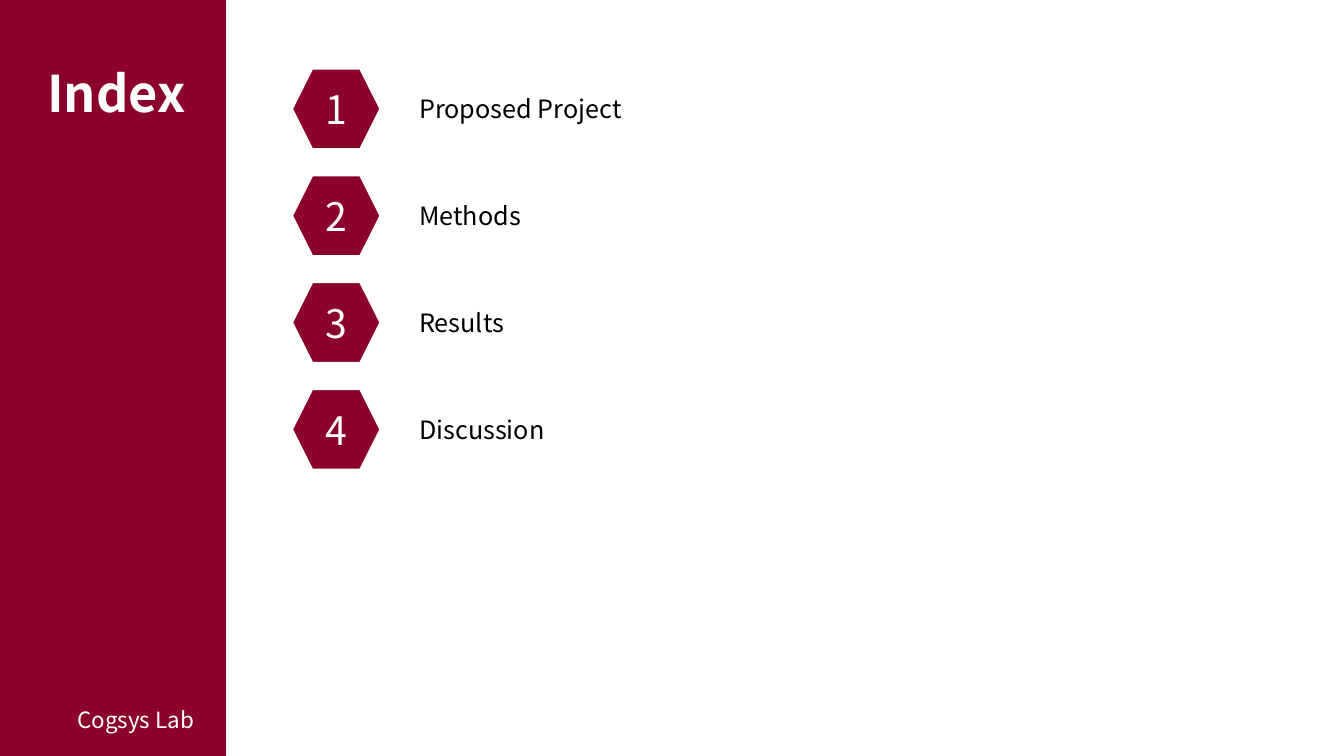
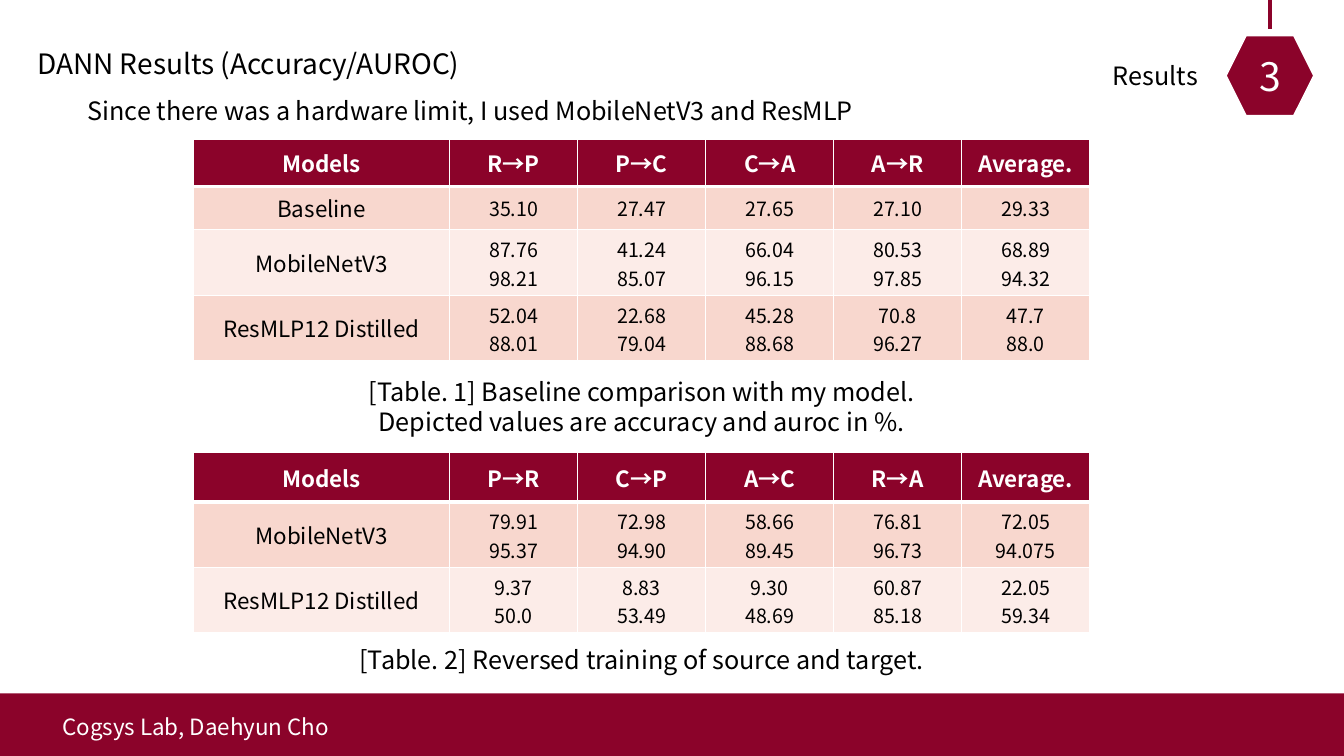
from lxml.etree import SubElement
from pptx import Presentation
from pptx.dml.color import RGBColor
from pptx.enum.shapes import MSO_CONNECTOR, MSO_SHAPE
from pptx.enum.text import MSO_ANCHOR as Anchor, PP_ALIGN as Align
from pptx.oxml.ns import qn
from pptx.util import Inches, Pt


class Theme:
    font = "Noto Sans CJK KR"
    crimson = RGBColor.from_string("8B032A")
    white = RGBColor.from_string("FFFFFF")
    black = RGBColor.from_string("000000")
    bands = (RGBColor.from_string("FCECE8"), RGBColor.from_string("F8D7CE"))
    title = {"size": Pt(36), "color": white, "bold": True}
    badge = {"size": Pt(28), "color": white}
    heading = {"size": Pt(20), "color": black}
    body = {"size": Pt(18), "color": black}
    footer = {"size": Pt(16), "color": white}
    table_head = {"size": Pt(16), "color": white, "bold": True}
    table_label = {"size": Pt(16), "color": black, "bold": False}
    table_value = {"size": Pt(14), "color": black}


SLIDE_W, SLIDE_H = 13.33, 7.5
BADGE_W, BADGE_H = 1.01, 0.92
LABEL_H = 0.4
TABLE_LEFT, TABLE_W = 1.92, 8.89
COLUMN_WIDTHS = [2.54] + [1.27] * 5

CHAPTERS = ["Proposed Project", "Methods", "Results", "Discussion"]
CURRENT_CHAPTER = 3

TABLES = [
    {
        "top": 1.38,
        "heights": [0.47, 0.43, 0.65, 0.65],
        "rows": [
            ["Models", "R→P", "P→C", "C→A", "A→R", "Average."],
            ["Baseline", "35.10", "27.47", "27.65", "27.10", "29.33"],
            ["MobileNetV3", "87.76\n98.21", "41.24\n85.07", "66.04\n96.15",
             "80.53\n97.85", "68.89\n94.32"],
            ["ResMLP12 Distilled", "52.04\n88.01", "22.68\n79.04", "45.28\n88.68",
             "70.8\n96.27", "47.7\n88.0"],
        ],
        "caption": "[Table. 1] Baseline comparison with my model.\n"
                   "Depicted values are accuracy and auroc in %.",
        "caption_top": 3.68,
        "caption_height": 0.71,
    },
    {
        "top": 4.49,
        "heights": [0.49, 0.65, 0.65],
        "rows": [
            ["Models", "P→R", "C→P", "A→C", "R→A", "Average."],
            ["MobileNetV3", "79.91\n95.37", "72.98\n94.90", "58.66\n89.45",
             "76.81\n96.73", "72.05\n94.075"],
            ["ResMLP12 Distilled", "9.37\n50.0", "8.83\n53.49", "9.30\n48.69",
             "60.87\n85.18", "22.05\n59.34"],
        ],
        "caption": "[Table. 2] Reversed training of source and target.",
        "caption_top": 6.34,
        "caption_height": 0.4,
    },
]


def write(para, text, style, **layout):
    """Fill a paragraph; a newline in the text becomes a line break."""
    para.text = text
    for name, value in layout.items():
        setattr(para, name, value)
    for span in para.runs:
        span.font.name = Theme.font
        for name, value in style.items():
            if name == "color":
                span.font.color.rgb = value
            else:
                setattr(span.font, name, value)
        SubElement(span.font._element, qn("a:ea"), typeface=Theme.font)


def add_text(page, place, text, style, anchor=Anchor.TOP, **layout):
    box = page.shapes.add_textbox(*map(Inches, place))
    box.text_frame.word_wrap = True
    box.text_frame.vertical_anchor = anchor
    write(box.text_frame.paragraphs[0], text, style, **layout)
    return box


def add_filled(page, kind, place):
    shape = page.shapes.add_shape(kind, *map(Inches, place))
    shape.shadow.inherit = False
    shape.fill.solid()
    shape.fill.fore_color.rgb = Theme.crimson
    shape.line.fill.background()
    return shape


def add_badge(page, left, top, number):
    badge = add_filled(page, MSO_SHAPE.HEXAGON, (left, top, BADGE_W, BADGE_H))
    badge.line.color.rgb = Theme.white
    badge.line.width = Pt(10)
    badge.text_frame.vertical_anchor = Anchor.MIDDLE
    write(badge.text_frame.paragraphs[0], str(number), Theme.badge, alignment=Align.CENTER)


def add_band(page, place, footer, footer_left, footer_top):
    add_filled(page, MSO_SHAPE.RECTANGLE, place)
    add_text(page, (footer_left, footer_top, 2.85, 0.37), footer, Theme.footer, Anchor.MIDDLE)


def set_borders(cell, row):
    """White rules, heavier under the header row."""
    widths = {"L": 1, "R": 1, "T": 3 if row == 1 else 1, "B": 3 if row == 0 else 1}
    properties = cell._tc.get_or_add_tcPr()
    for side, width in widths.items():
        line = SubElement(properties, qn(f"a:ln{side}"), w=str(Pt(width)))
        fill = SubElement(line, qn("a:solidFill"))
        SubElement(fill, qn("a:srgbClr"), val=str(Theme.white))


def cell_style(row, column):
    if row == 0:
        return Theme.table_head
    return Theme.table_value if column else Theme.table_label


def add_result_table(page, top, heights, rows, caption, caption_top, caption_height):
    place = (TABLE_LEFT, top, TABLE_W, sum(heights))
    table = page.shapes.add_table(len(rows), len(COLUMN_WIDTHS), *map(Inches, place)).table
    for column, width in zip(table.columns, COLUMN_WIDTHS):
        column.width = Inches(width)
    for r, (height, values) in enumerate(zip(heights, rows)):
        table.rows[r].height = Inches(height)
        for c, value in enumerate(values):
            cell = table.cell(r, c)
            set_borders(cell, r)
            cell.fill.solid()
            cell.fill.fore_color.rgb = Theme.bands[r % 2] if r else Theme.crimson
            cell.vertical_anchor = Anchor.MIDDLE
            frame = cell.text_frame
            for i, line in enumerate(value.split("\n")):
                para = frame.add_paragraph() if i else frame.paragraphs[0]
                write(para, line, cell_style(r, c), alignment=Align.CENTER)
    add_text(page, (TABLE_LEFT, caption_top, TABLE_W, caption_height), caption,
             Theme.body, alignment=Align.CENTER)


def build_index(page):
    add_band(page, (0, 0, 2.24, SLIDE_H), "Cogsys Lab", 0.67, 6.95)
    add_text(page, (0.22, 0.53, 1.87, 0.85), "Index", Theme.title, Anchor.MIDDLE,
             alignment=Align.CENTER, line_spacing=0.9)
    first_top, pitch = 0.62, 1.06
    for i, chapter in enumerate(CHAPTERS):
        top = first_top + i * pitch
        add_badge(page, 2.83, top, i + 1)
        add_text(page, (4.06, top + (BADGE_H - LABEL_H) / 2, 3.2, LABEL_H), chapter, Theme.body)


def build_results(page):
    heading = add_text(page, (0.27, 0.25, 12.18, 1.02), "DANN Results (Accuracy/AUROC)",
                       Theme.heading, line_spacing=1.5)
    remark = heading.text_frame.add_paragraph()
    write(remark, "Since there was a hardware limit, I used MobileNetV3 and ResMLP",
          Theme.body, level=1, line_spacing=1.5)
    remark._p.get_or_add_pPr().set("marL", str(Inches(0.5)))

    add_band(page, (0, 6.88, SLIDE_W, SLIDE_H - 6.88), "Cogsys Lab, Daehyun Cho", 0.52, 7.02)

    badge_left, badge_top = 12.09, 0.29
    add_badge(page, badge_left, badge_top, CURRENT_CHAPTER)
    hanger_x = Inches(badge_left + BADGE_W / 2)
    hanger = page.shapes.add_connector(MSO_CONNECTOR.STRAIGHT, hanger_x, 0,
                                       hanger_x, Inches(badge_top))
    hanger.line.color.rgb = Theme.crimson
    hanger.line.width = Pt(3)
    SubElement(hanger._element.spPr, qn("a:effectLst"))
    add_text(page, (8.05, badge_top + (BADGE_H - LABEL_H) / 2, 3.93, LABEL_H),
             CHAPTERS[CURRENT_CHAPTER - 1], Theme.body, alignment=Align.RIGHT)

    for result in TABLES:
        add_result_table(page, **result)


def main():
    deck = Presentation()
    deck.slide_width, deck.slide_height = Inches(SLIDE_W), Inches(SLIDE_H)
    blank = deck.slide_layouts[6]
    for build in (build_index, build_results):
        build(deck.slides.add_slide(blank))
    deck.save("out.pptx")


if __name__ == "__main__":
    main()
